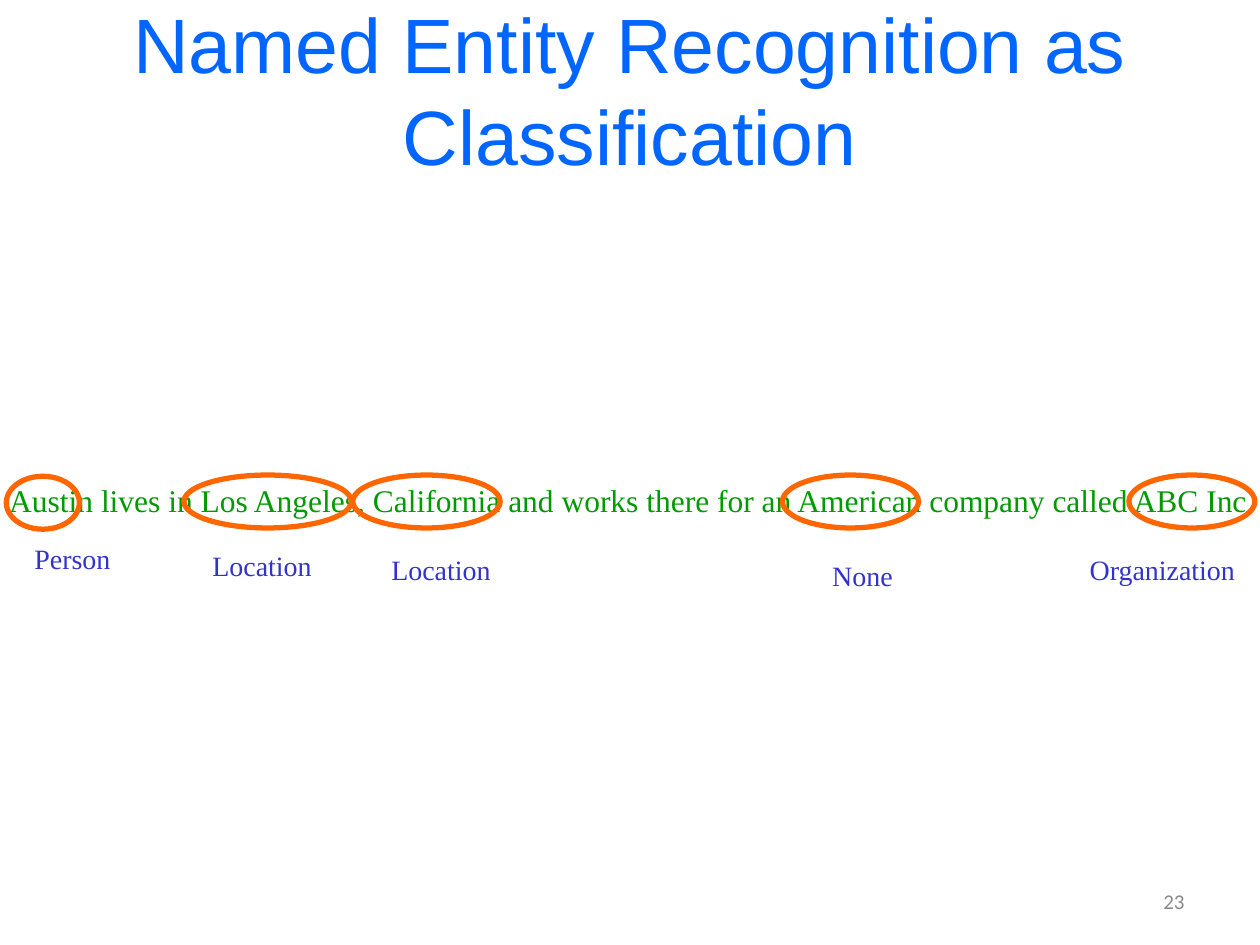
from pptx import Presentation
from pptx.dml.color import RGBColor
from pptx.enum import shapes, text
from pptx.util import Inches, Pt

COLORS = {
    "title": "0066FF",
    "sentence": "009900",
    "ring": "FF6600",
    "label": "3333CC",
    "number": "898989",
}
SERIF = "Times New Roman"
SENTENCE = ("Austin lives in Los Angeles, California and works there "
            "for an American company called ABC Inc.")
RING_HEIGHT = 0.42
LABEL_HEIGHT = 0.37

# Ring (left, top, width), then class label and its (left, top, width)
ENTITIES = [
    ((0.05, 3.78, 0.58), "Person", (0.17, 4.25, 0.81)),
    ((1.46, 3.77, 1.33), "Location", (1.58, 4.3, 1)),
    ((2.8, 3.77, 1.17), "Location", (3, 4.33, 1)),
    ((6.21, 3.77, 1.08), "None", (6.5, 4.38, 0.69)),
    ((8.96, 3.77, 1), "Organization", (8.54, 4.33, 1.37)),
]


def color(name):
    return RGBColor.from_string(COLORS[name])


def write(shape, words, *, size, font, fill, align=text.PP_ALIGN.CENTER,
          wrap=False):
    frame = shape.text_frame
    frame.word_wrap = wrap
    frame.auto_size = text.MSO_AUTO_SIZE.NONE
    frame.vertical_anchor = text.MSO_ANCHOR.MIDDLE
    paragraph = frame.paragraphs[0]
    paragraph.alignment = align
    run = paragraph.add_run()
    run.text = words
    run.font.size = Pt(size)
    run.font.name = font
    run.font.color.rgb = color(fill)


def add_title(slide, words):
    title = slide.shapes.title
    title.left, title.top = Inches(0.5), Inches(0.08)
    title.width, title.height = Inches(9), Inches(1.25)
    write(title, words, size=44, font="Arial", fill="title", wrap=True)


def add_text(slide, box, words, **style):
    write(slide.shapes.add_textbox(*map(Inches, box)), words, **style)


def add_ring(slide, box):
    ring = slide.shapes.add_shape(shapes.MSO_SHAPE.OVAL, *map(Inches, box))
    ring.shadow.inherit = False
    ring.fill.background()
    ring.line.color.rgb = color("ring")
    ring.line.width = Pt(3)


def main():
    deck = Presentation()
    deck.slide_width, deck.slide_height = Inches(10), Inches(7.5)
    slide = deck.slides.add_slide(deck.slide_layouts[5])

    add_title(slide, "Named Entity Recognition as Classification")
    add_text(slide, (7.17, 6.95, 2.33, 0.4), "23", size=12, font="Calibri",
             fill="number", align=text.PP_ALIGN.RIGHT, wrap=True)

    # Sentence with its entities ringed and classified
    add_text(slide, (-0.05, 3.77, 10.14, 0.4), SENTENCE, size=18, font=SERIF,
             fill="sentence")
    for ring, _, _ in ENTITIES:
        add_ring(slide, (*ring, RING_HEIGHT))
    for _, label, place in ENTITIES:
        add_text(slide, (*place, LABEL_HEIGHT), label, size=16, font=SERIF,
                 fill="label")

    deck.save("out.pptx")


if __name__ == "__main__":
    main()
